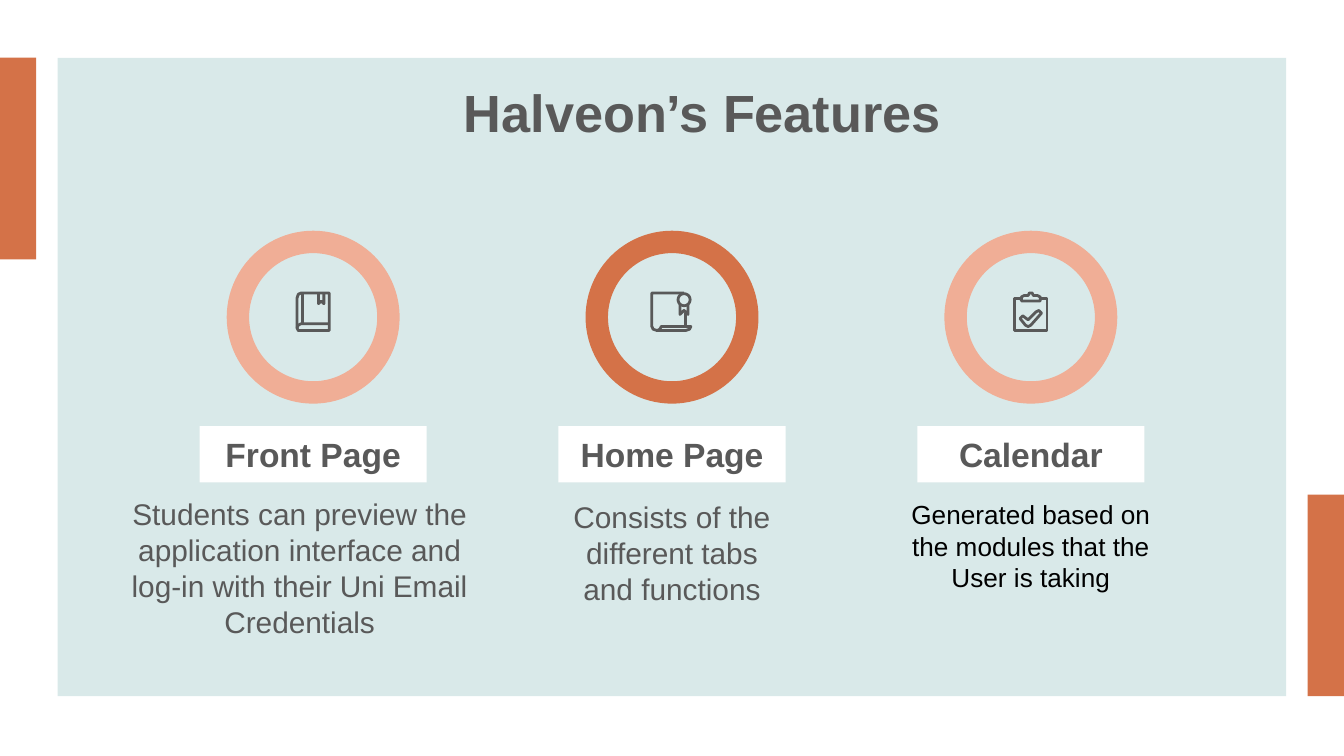
from dataclasses import dataclass
from math import cos, pi, sin

from lxml.etree import SubElement
from pptx import Presentation
from pptx.dml.color import RGBColor
from pptx.enum.shapes import MSO_SHAPE as SHAPE
from pptx.enum.text import MSO_ANCHOR as ANCHOR, PP_ALIGN as ALIGN
from pptx.oxml.ns import qn
from pptx.util import Inches, Pt


@dataclass(frozen=True)
class Theme:
    font: str = "Arial"
    panel: str = "D9E9E9"
    accent: str = "D47248"
    soft: str = "F0AE96"
    ink: str = "595959"
    black: str = "000000"
    white: str = "FFFFFF"
    title: int = 28
    label: int = 18
    body: int = 16
    small: int = 14
    ring: float = 12
    stroke: float = 1.5


T = Theme()
W = 10
H = W * 9 / 16
TITLE = "Halveon’s Features"

# Icon strokes in hundredths of an inch from the icon's centre: (closed, points)
SEAL = [(9 + 4.5 * cos(a * pi / 12), -9 + 4.5 * sin(a * pi / 12)) for a in range(24)]
BOOK = [
    (True, [(12, -14), (-9, -14), (-11, -13), (-12, -10), (-12, 12), (-11, 14), (-9, 14), (12, 14)]),
    (False, [(-8, -14), (-8, 9)]),
    (False, [(-12, 12), (-11, 10), (-9, 9), (12, 9)]),
    (False, [(4, -14), (4, -6), (6, -8), (8, -6), (8, -14)]),
]
CERTIFICATE = [
    (False, [(9, -14), (-15, -14), (-15, 11), (-14, 13), (-11, 14), (10, 14), (13, 13),
             (14, 11), (-8, 11), (-9, 13), (-11, 14)]),
    (False, [(10, 11), (10, 1)]),
    (False, [(6, -5), (6, 2), (9, -1), (12, 2), (12, -5)]),
    (True, SEAL),
]
CLIPBOARD = [
    (False, [(-7, -10), (-12, -10), (-12, 14), (12, 14), (12, -10), (7, -10)]),
    (True, [(-7, -8), (7, -8), (7, -11), (5, -12), (2, -12), (1, -14), (-1, -14), (-2, -12),
            (-5, -12), (-7, -11)]),
    (True, [(-6, 3), (-2, 6), (4, 0), (6, -1), (8, 1), (0, 10), (-2, 11), (-4, 10), (-8, 5)]),
]

# label, text, ring colour, text colour, text size, text box size, text shift, icon
FEATURES = [
    ("Front Page", "Students can preview the application interface and log-in with their Uni Email Credentials",
     T.soft, T.ink, T.body, (2.87, 1.52), (-0.1, -0.02), BOOK),
    ("Home Page", "Consists of the different tabs and functions",
     T.accent, T.ink, T.body, (1.81, 0.96), (0, 0), CERTIFICATE),
    ("Calendar", "Generated based on the modules that the User is taking",
     T.soft, T.black, T.small, (2.05, 0.96), (0, 0), CLIPBOARD),
]

MARGIN = 0.43
PANEL_H = 4.75
BAR_W, BAR_H = 0.27, 1.5
PITCH = 2.67
RING, RING_TOP = 1.12, 1.8
LABEL_W, LABEL_H, LABEL_TOP = 1.69, 0.42, 3.17
TEXT_TOP = 3.61
ICON_Y = 2.32


def rgb(color):
    return RGBColor.from_string(color)


def add_block(s, kind, x, y, w, h, fill, line=None):
    sp = s.shapes.add_shape(kind, Inches(x), Inches(y), Inches(w), Inches(h))
    sp.shadow.inherit = False
    sp.fill.solid()
    sp.fill.fore_color.rgb = rgb(fill)
    if line:
        sp.line.color.rgb = rgb(line)
        sp.line.width = Pt(T.ring)
    else:
        sp.line.fill.background()
    return sp


def add_box(s, x, y, w, h):
    return s.shapes.add_textbox(Inches(x), Inches(y), Inches(w), Inches(h))


def write(sp, text, size, color=T.ink, bold=False, anchor=ANCHOR.TOP):
    tf = sp.text_frame
    tf.word_wrap = True
    tf.vertical_anchor = anchor
    tf.margin_left = tf.margin_right = tf.margin_top = tf.margin_bottom = Inches(0.1)
    p = tf.paragraphs[0]
    p.alignment = ALIGN.CENTER
    r = p.add_run()
    r.text = text
    r.font.name, r.font.size, r.font.bold = T.font, Pt(size), bold
    r.font.color.rgb = rgb(color)


def add_icon(s, strokes, cx, cy):
    for closed, points in strokes:
        fine = [(round(x * 10), round(y * 10)) for x, y in points]
        outline = s.shapes.build_freeform(*fine[0], scale=Inches(1) / 1000)
        outline.add_line_segments(fine[1:], close=closed)
        sp = outline.convert_to_shape(Inches(cx), Inches(cy))
        sp.shadow.inherit = False
        sp.fill.background()
        sp.line.color.rgb = rgb(T.ink)
        sp.line.width = Pt(T.stroke)
        SubElement(sp.element.spPr.find(qn("a:ln")), qn("a:round"))


def main():
    prs = Presentation()
    prs.slide_width, prs.slide_height = Inches(W), Inches(H)
    s = prs.slides.add_slide(prs.slide_layouts[6])

    add_block(s, SHAPE.RECTANGLE, MARGIN, MARGIN, W - 2 * MARGIN, PANEL_H, T.panel)
    bar_top = MARGIN + PANEL_H - BAR_H
    for x, y in [(W - BAR_W, bar_top), (0, MARGIN)]:
        add_block(s, SHAPE.RECTANGLE, x, y, BAR_W, BAR_H, T.accent)
    write(add_box(s, 0.79, 0.5, 8.87, 0.63), TITLE, T.title, bold=True)

    for i, (label, text, ring, color, size, (w, h), (dx, dy), icon) in enumerate(FEATURES):
        cx = W / 2 + (i - 1) * PITCH
        add_block(s, SHAPE.OVAL, cx - RING / 2, RING_TOP, RING, RING, T.panel, ring)
        add_icon(s, icon, cx, ICON_Y)
        sp = add_block(s, SHAPE.RECTANGLE, cx - LABEL_W / 2, LABEL_TOP, LABEL_W, LABEL_H, T.white)
        write(sp, label, T.label, bold=True, anchor=ANCHOR.MIDDLE)
        write(add_box(s, cx - w / 2 + dx, TEXT_TOP + dy, w, h), text, size, color)

    prs.save("out.pptx")


if __name__ == "__main__":
    main()
